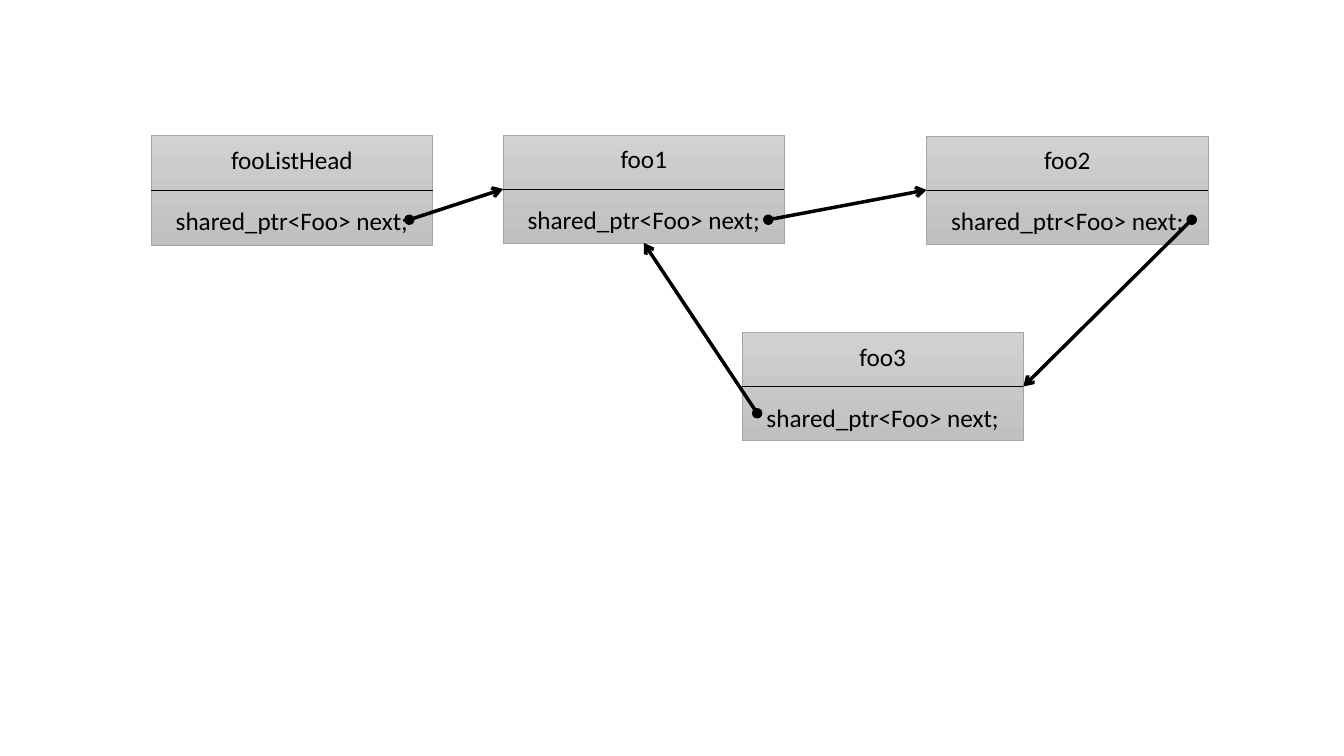
"""Draw linked list nodes whose shared pointers form a cycle."""
import copy
from dataclasses import dataclass

from lxml import etree
from pptx import Presentation, util as u
from pptx.dml import color
from pptx.enum import shapes, text
from pptx.oxml import ns


@dataclass(frozen=True)
class Theme:
    """Colours, font and sizes of the diagram."""
    gradient: tuple[tuple[float, str], ...] = ((0, "D2D2D2"), (0.5, "C8C8C8"), (1, "C0C0C0"))
    border: str = "A5A5A5"
    ink: str = "000000"
    font: str = "Calibri"
    text_size: float = 18
    row_gap: float = 22
    thin: float = 0.5
    thick: float = 2.5


@dataclass(frozen=True)
class Node:
    """A list node with its name above a divider and its pointer below."""
    name: str
    left: float
    top: float
    height: float = 1.07
    width: float = 2.79

    @property
    def middle_left(self) -> tuple[float, float]:
        """Return the left end of the divider."""
        return self.left, self.top + self.height / 2

    @property
    def middle_right(self) -> tuple[float, float]:
        """Return the right end of the divider."""
        return self.left + self.width, self.top + self.height / 2

    @property
    def bottom(self) -> tuple[float, float]:
        """Return the centre of the lower edge."""
        return self.left + self.width / 2, self.top + self.height


@dataclass(frozen=True)
class Pointer:
    """An arrow from a pointer field to the node it owns."""
    start: tuple[float, float]
    end: tuple[float, float]


THEME = Theme()
FIELD = "shared_ptr<Foo> next;"
HEAD = Node("fooListHead", 1.5, 1.34, 1.09)
FOO1 = Node("foo1", 4.99, 1.34)
FOO2 = Node("foo2", 9.19, 1.35)
FOO3 = Node("foo3", 7.36, 3.3)
NODES = (FOO1, FOO2, FOO3, HEAD)
POINTERS = (
    Pointer((11.82, 2.18), FOO3.middle_right),
    Pointer((7.62, 2.18), FOO2.middle_left),
    Pointer((7.51, 4.1), FOO1.bottom),
    Pointer((4.06, 2.18), FOO1.middle_left),
)


def rgb(value: str) -> color.RGBColor:
    """Turn a hex string into a colour."""
    return color.RGBColor.from_string(value)


def draw_node(page, node: Node) -> None:
    """Draw the box of a node with its two text rows."""
    box = page.shapes.add_shape(
        shapes.MSO_SHAPE.RECTANGLE,
        *(u.Inches(n) for n in (node.left, node.top, node.width, node.height)))
    box.shadow.inherit = False
    box.line.color.rgb = rgb(THEME.border)
    box.line.width = u.Pt(THEME.thin)
    box.fill.gradient()
    box.fill.gradient_angle = 270
    stops = box.element.spPr.find(".//" + ns.qn("a:gsLst"))
    stops.insert(1, copy.deepcopy(stops[0]))
    for stop, (position, shade) in zip(box.fill.gradient_stops, THEME.gradient):
        stop.position = position
        stop.color.rgb = rgb(shade)

    frame = box.text_frame
    frame.word_wrap = True
    frame.vertical_anchor = text.MSO_ANCHOR.MIDDLE
    for para, words in ((frame.paragraphs[0], node.name), (frame.add_paragraph(), FIELD)):
        para.alignment = text.PP_ALIGN.CENTER
        span = para.add_run()
        span.text = words
        span.font.name = THEME.font
        span.font.size = u.Pt(THEME.text_size)
        span.font.color.rgb = rgb(THEME.ink)
    para.space_before = u.Pt(THEME.row_gap)


def draw_line(page, start: tuple[float, float], end: tuple[float, float], width: float):
    """Draw a straight black line and return it."""
    line = page.shapes.add_connector(
        shapes.MSO_CONNECTOR.STRAIGHT, *(u.Inches(n) for n in (*start, *end)))
    line.line.color.rgb = rgb(THEME.ink)
    line.line.width = u.Pt(width)
    etree.SubElement(line.element.spPr, ns.qn("a:effectLst"))
    return line


def draw_pointer(page, pointer: Pointer) -> None:
    """Draw a thick line with a dot at its start and an arrow at its end."""
    line = draw_line(page, pointer.start, pointer.end, THEME.thick)
    outline = line.element.spPr.find(ns.qn("a:ln"))
    for tag, kind in (("a:headEnd", "oval"), ("a:tailEnd", "arrow")):
        etree.SubElement(outline, ns.qn(tag), type=kind)


def main() -> None:
    """Build and save the deck."""
    deck = Presentation()
    deck.slide_width, deck.slide_height = u.Inches(13.33), u.Inches(7.5)
    page = deck.slides.add_slide(deck.slide_layouts.get_by_name("Blank"))
    for node in NODES:
        draw_node(page, node)
        draw_line(page, node.middle_left, node.middle_right, THEME.thin)
    for pointer in POINTERS:
        draw_pointer(page, pointer)
    deck.save("out.pptx")


if __name__ == "__main__":
    main()
